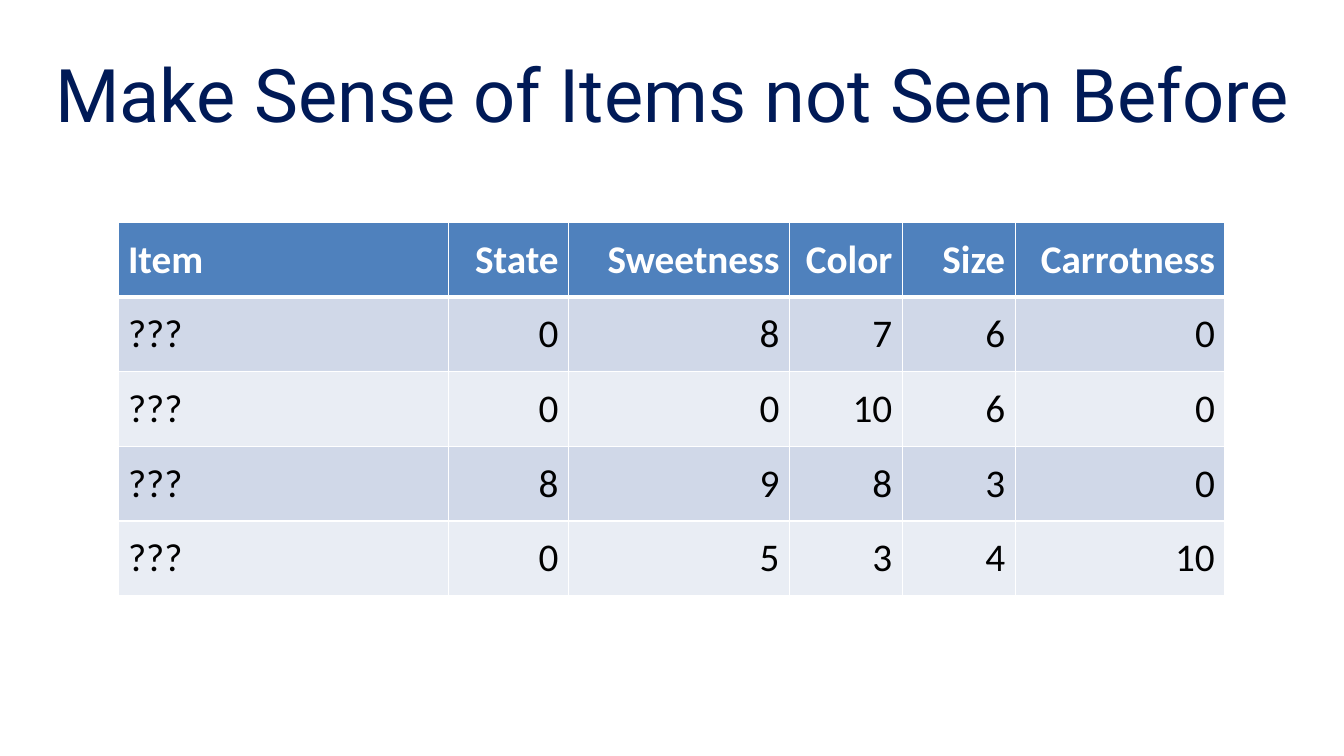
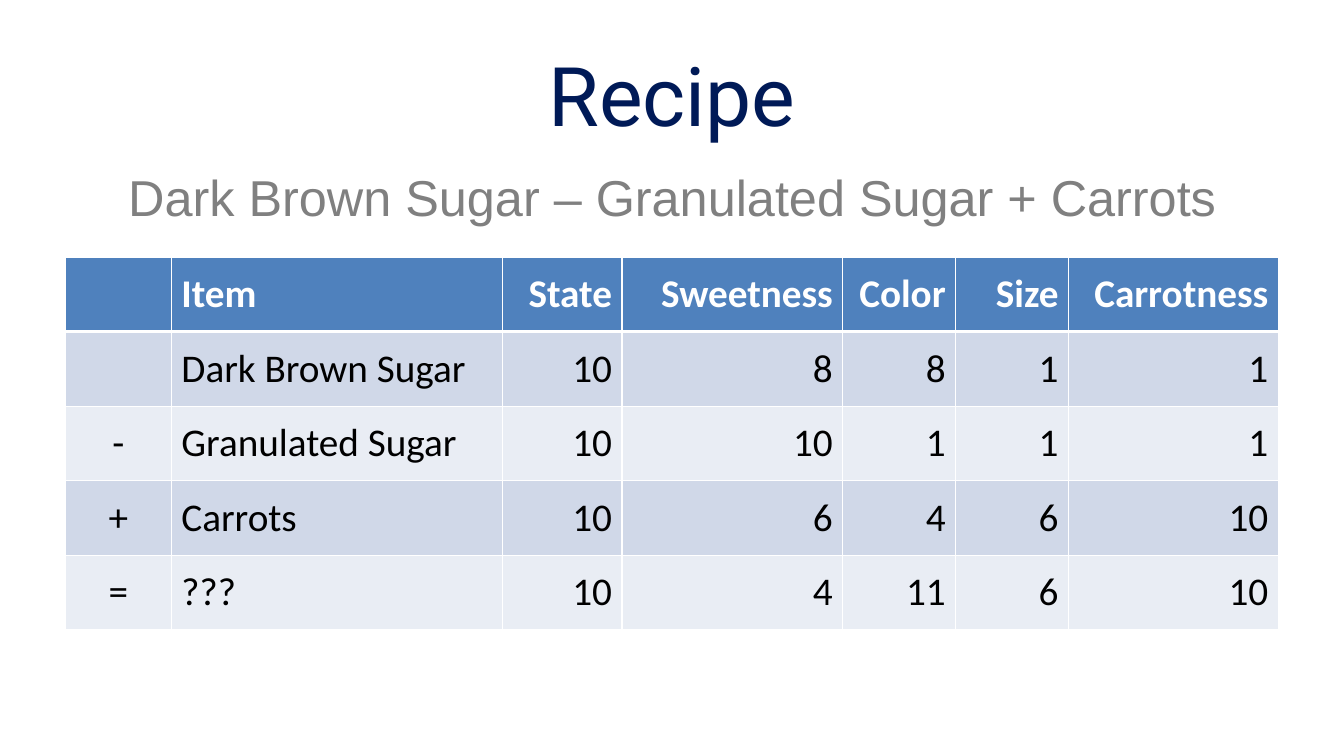
from lxml import etree
from pptx import Presentation
from pptx.dml.color import RGBColor
from pptx.enum.text import MSO_ANCHOR as Anchor, MSO_AUTO_SIZE as AutoSize, PP_ALIGN as Align
from pptx.oxml.ns import qn
from pptx.util import Inches, Pt

NAVY = RGBColor(0x00, 0x1A, 0x57)
GRAY = RGBColor(0x80, 0x80, 0x80)
BLUE = RGBColor(0x4F, 0x81, 0xBD)
BAND_DARK = RGBColor(0xD0, 0xD8, 0xE8)
BAND_LIGHT = RGBColor(0xE9, 0xED, 0xF4)
WHITE = RGBColor(0xFF, 0xFF, 0xFF)
BLACK = RGBColor(0x00, 0x00, 0x00)

SLIDE_WIDTH, SLIDE_HEIGHT = 13.33, 7.5
ROW_HEIGHT = 0.74

# Content: columns are (heading, width, alignment)
FEATURES = [
    ("Item", 3.28, Align.LEFT),
    ("State", 1.19, Align.RIGHT),
    ("Sweetness", 2.19, Align.RIGHT),
    ("Color", 1.12, Align.RIGHT),
    ("Size", 1.12, Align.RIGHT),
    ("Carrotness", 2.08, Align.RIGHT),
]
OPERATOR = ("", 1.05, Align.CENTER)

SLIDES = [
    {
        "title": "Make Sense of Items not Seen Before",
        "title_size": 52.8,
        "title_width": SLIDE_WIDTH,
        "columns": FEATURES,
        "table_at": (1.17, 2.21),
        "rows": [
            ("???", 0, 8, 7, 6, 0),
            ("???", 0, 0, 10, 6, 0),
            ("???", 8, 9, 8, 3, 0),
            ("???", 0, 5, 3, 4, 10),
        ],
    },
    {
        "title": "Recipe",
        "title_size": 58.7,
        "title_width": 12,
        "subtitle": "Dark Brown Sugar – Granulated Sugar + Carrots",
        "columns": [OPERATOR] + FEATURES,
        "table_at": (0.65, 2.55),
        "rows": [
            ("", "Dark Brown Sugar", 10, 8, 8, 1, 1),
            ("-", "Granulated Sugar", 10, 10, 1, 1, 1),
            ("+", "Carrots", 10, 6, 4, 6, 10),
            ("=", "???", 10, 4, 11, 6, 10),
        ],
    },
]


def write(frame, text, font, size, color, bold=False, align=Align.CENTER):
    para = frame.paragraphs[0]
    para.alignment = align
    span = para.add_run()
    span.text = text
    span.font.name = font
    span.font.size = Pt(size)
    span.font.color.rgb = color
    span.font.bold = bold


def place(shape, left, top, width, height):
    shape.left, shape.top = Inches(left), Inches(top)
    shape.width, shape.height = Inches(width), Inches(height)


def add_borders(cell, **widths):
    """Draw white cell borders, given as side=points."""
    properties = cell._tc.get_or_add_tcPr()
    for side, points in widths.items():
        line = etree.SubElement(properties, qn(f"a:{side}"), w=str(Pt(points)))
        fill = etree.SubElement(line, qn("a:solidFill"))
        etree.SubElement(fill, qn("a:srgbClr"), val=str(WHITE))


def add_grid(page, columns, rows, left, top):
    lines = [[heading for heading, _, _ in columns]] + rows
    width = sum(column[1] for column in columns)
    grid = page.shapes.add_table(
        len(lines), len(columns), Inches(left), Inches(top),
        Inches(width), Inches(ROW_HEIGHT * len(lines))).table
    for column, (_, column_width, _) in zip(grid.columns, columns):
        column.width = Inches(column_width)

    for r, values in enumerate(lines):
        grid.rows[r].height = Inches(ROW_HEIGHT)
        header = r == 0
        band = BLUE if header else BAND_DARK if r % 2 else BAND_LIGHT
        for c, value in enumerate(values):
            cell = grid.cell(r, c)
            add_borders(cell, lnL=1, lnR=1, lnT=3 if r == 1 else 1, lnB=3 if header else 1)
            cell.fill.solid()
            cell.fill.fore_color.rgb = band
            cell.vertical_anchor = Anchor.MIDDLE
            if value != "":
                write(cell.text_frame, str(value), "Calibri", 28,
                      WHITE if header else BLACK, bold=header, align=columns[c][2])


def add_page(deck, content):
    page = deck.slides.add_slide(deck.slide_layouts[5])

    # Title
    title = page.shapes.title
    width = content["title_width"]
    place(title, (SLIDE_WIDTH - width) / 2, 0.3, width, 1.25)
    title.text_frame.auto_size = AutoSize.NONE
    title.text_frame.vertical_anchor = Anchor.MIDDLE
    write(title.text_frame, content["title"], "Roboto", content["title_size"], NAVY)

    # Subtitle
    if "subtitle" in content:
        box = page.shapes.add_textbox(Inches(0.67), Inches(1.55), Inches(12), Inches(0.76))
        box.text_frame.word_wrap = True
        box.text_frame.margin_top = Inches(0.1)
        write(box.text_frame, content["subtitle"], "Arial", 36, GRAY)

    # Table
    add_grid(page, content["columns"], content["rows"], *content["table_at"])


def main():
    deck = Presentation()
    deck.slide_width, deck.slide_height = Inches(SLIDE_WIDTH), Inches(SLIDE_HEIGHT)
    for content in SLIDES:
        add_page(deck, content)
    deck.save("out.pptx")


if __name__ == "__main__":
    main()
